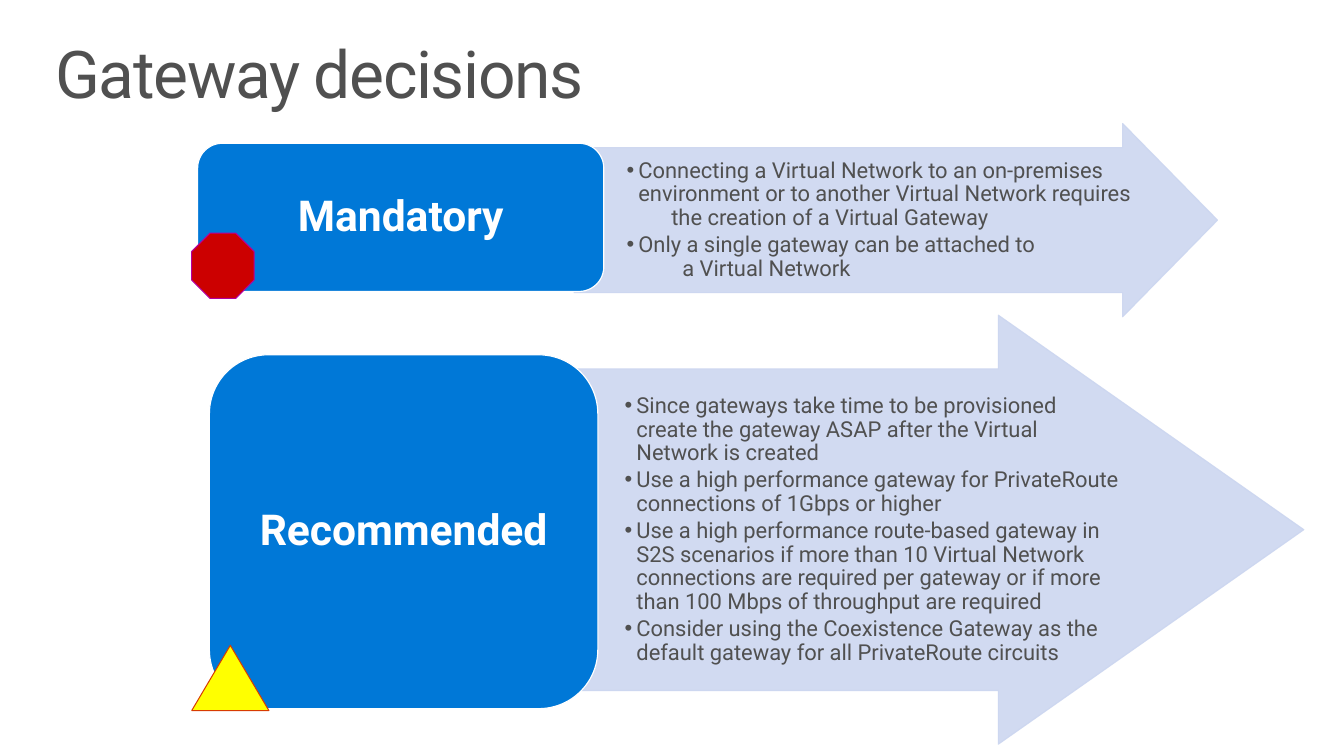
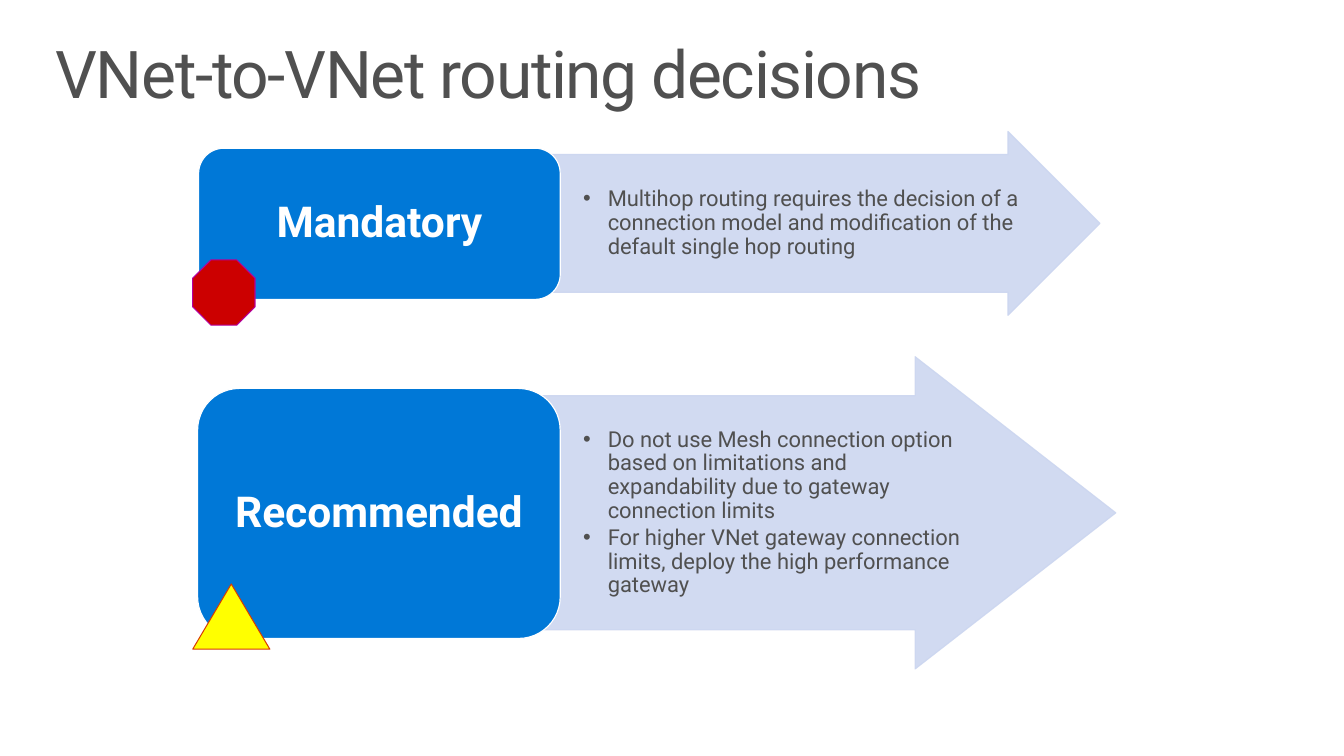
import copy
import dataclasses

import lxml.etree
import pptx
import pptx.dml.color
import pptx.enum.shapes
import pptx.enum.text
import pptx.oxml.ns
import pptx.util

Pt = pptx.util.Pt
qn = pptx.oxml.ns.qn
Preset = pptx.enum.shapes.MSO_SHAPE
Anchor = pptx.enum.text.MSO_ANCHOR
Align = pptx.enum.text.PP_ALIGN


@dataclasses.dataclass(frozen=True)
class Theme:
    font: str = "Roboto"
    text: str = "505050"
    white: str = "FFFFFF"
    label_fill: str = "0078D7"
    arrow_fill: str = "CCD6F0"
    warning_fill: str = "FFFF00"
    warning_line: str = "D83B01"
    stop_fill: str = "CC0000"
    stop_line: str = "B4009E"
    title_size: float = 48
    label_size: float = 31
    list_size: float = 16
    line_spacing: float = 0.9
    list_gap: float = 2.4
    arrow_opacity: int = 90000
    shaft_ratio: float = 0.75


@dataclasses.dataclass(frozen=True)
class Point:
    text: str
    continuation: str = ""
    shift: float = 0


@dataclasses.dataclass(frozen=True)
class Decision:
    label: str
    label_box: tuple
    arrow_box: tuple
    head_length: float
    text_margin: float
    points: tuple


class DecisionDeck:
    """Builds decision slides in one shared style."""

    def __init__(self, theme):
        self.theme = theme
        self.presentation = pptx.Presentation()
        self.presentation.slide_width = Pt(979.2)
        self.presentation.slide_height = Pt(550.8)
        self.slide = None

    def add_slide(self, title):
        layout = self.presentation.slide_layouts.get_by_name("Two Content")
        self.slide = self.presentation.slides.add_slide(layout)
        shape = self.slide.shapes.title
        self.place(shape, (28.8, 23, 921.6, 72))
        frame = shape.text_frame
        frame.text = title
        self.set_frame(frame, Anchor.TOP, (11.5, 7.2, 11.5, 7.2))
        self.style(frame.paragraphs[0], self.theme.title_size, self.theme.text, Align.LEFT)
        for properties in shape.element.xpath(".//a:rPr"):
            properties.set("spc", "-100")

    def place(self, shape, box):
        shape.left, shape.top, shape.width, shape.height = map(Pt, box)

    def set_frame(self, frame, anchor, margins=(0, 0, 0, 0)):
        frame.word_wrap = True
        frame.auto_size = pptx.enum.text.MSO_AUTO_SIZE.NONE
        frame.vertical_anchor = anchor
        (frame.margin_left, frame.margin_top,
         frame.margin_right, frame.margin_bottom) = map(Pt, margins)

    def style(self, paragraph, size, color, alignment, bold=False, space_after=0):
        paragraph.alignment = alignment
        paragraph.line_spacing = self.theme.line_spacing
        paragraph.space_before = Pt(0)
        paragraph.space_after = Pt(space_after)
        for run in paragraph.runs:
            run.font.name = self.theme.font
            run.font.size = Pt(size)
            run.font.bold = bold
            run.font.color.rgb = pptx.dml.color.RGBColor.from_string(color)

    def add_preset(self, preset, box, fill, line, line_width):
        shape = self.slide.shapes.add_shape(preset, *map(Pt, box))
        shape.shadow.inherit = False
        shape.fill.solid()
        shape.fill.fore_color.rgb = pptx.dml.color.RGBColor.from_string(fill)
        shape.line.color.rgb = pptx.dml.color.RGBColor.from_string(line)
        shape.line.width = Pt(line_width)
        return shape

    def add_arrow(self, box, head_length):
        theme = self.theme
        shape = self.add_preset(Preset.RIGHT_ARROW, box, theme.arrow_fill, theme.arrow_fill, 0.85)
        shape.adjustments[0] = theme.shaft_ratio
        shape.adjustments[1] = head_length / box[3]
        for color in shape.element.xpath("./p:spPr//a:srgbClr"):
            alpha = lxml.etree.SubElement(color, qn("a:alpha"))
            alpha.set("val", str(theme.arrow_opacity))

    def add_label(self, text, box):
        theme = self.theme
        shape = self.add_preset(Preset.ROUNDED_RECTANGLE, box, theme.label_fill, theme.white, 0.85)
        shape.text_frame.text = text
        self.set_frame(shape.text_frame, Anchor.MIDDLE)
        self.style(shape.text_frame.paragraphs[0], theme.label_size, theme.white,
                   Align.CENTER, bold=True)

    def set_indent(self, paragraph_element, left, hanging, bullet):
        properties = paragraph_element.find(qn("a:pPr"))
        properties.set("marL", str(Pt(left)))
        properties.set("indent", str(-Pt(hanging)))
        if bullet:
            lxml.etree.SubElement(properties, qn("a:buChar")).set("char", "•")
        else:
            lxml.etree.SubElement(properties, qn("a:buNone"))

    def fill_list(self, placeholder, box, points, left, hanging):
        theme = self.theme
        self.place(placeholder, box)
        placeholder.element.getparent().append(placeholder.element)
        rows = []
        for point in points:
            rows.append((point.text, left, hanging, 0 if point.continuation else theme.list_gap))
            if point.continuation:
                rows.append((point.continuation, left + point.shift, 0, theme.list_gap))
        frame = placeholder.text_frame
        frame.text = "\n".join(row[0] for row in rows)
        self.set_frame(frame, Anchor.MIDDLE)
        elements = placeholder.element.xpath(".//a:p")
        for paragraph, element, row in zip(frame.paragraphs, elements, rows):
            self.style(paragraph, theme.list_size, theme.text, Align.LEFT, space_after=row[3])
            self.set_indent(element, row[1], row[2], bullet=row[2] > 0)
            for line_break in element.findall(qn("a:br")):
                line_break.append(copy.deepcopy(element.find(qn("a:r")).find(qn("a:rPr"))))

    def add_decision(self, decision, placeholder, left, hanging):
        self.add_arrow(decision.arrow_box, decision.head_length)
        x, y, width, height = decision.arrow_box
        list_box = (x, y, width - decision.text_margin, height)
        self.fill_list(placeholder, list_box, decision.points, left, hanging)
        self.add_label(decision.label, decision.label_box)

    def add_signs(self, left, warning_top, stop_top):
        theme = self.theme
        self.add_preset(Preset.ISOSCELES_TRIANGLE, (left, warning_top, 56.2, 47.5),
                        theme.warning_fill, theme.warning_line, 0.75)
        self.add_preset(Preset.OCTAGON, (left, stop_top, 45.4, 47.5),
                        theme.stop_fill, theme.stop_line, 0.75)

    def add_decision_slide(self, title, decisions, left, hanging, signs):
        self.add_slide(title)
        bodies = [shape for shape in self.slide.placeholders
                  if shape.placeholder_format.idx > 0]
        for decision, body in zip(decisions, bodies):
            self.add_decision(decision, body, left, hanging)
        self.add_signs(*signs)


def main():
    deck = DecisionDeck(Theme())
    deck.add_decision_slide(
        "Gateway decisions",
        (
            Decision(
                "Mandatory", (144, 104.4, 295.9, 108), (418.3, 90, 468.7, 140.8), 69.1, 46.8,
                (
                    Point("Connecting a Virtual Network to an on-premises environment "
                          "or to another Virtual Network requires",
                          "the creation of a Virtual Gateway", 24),
                    Point("Only a single gateway can be attached to",
                          "a Virtual Network", 32),
                ),
            ),
            Decision(
                "Recommended", (152.6, 258.5, 283, 257.8), (416.9, 229.7, 533, 312.5),
                222.5, 118.1,
                (
                    Point("Since gateways take time to be provisioned\v"
                          "create the gateway ASAP after the Virtual\vNetwork is created"),
                    Point("Use a high performance gateway for PrivateRoute "
                          "connections of 1Gbps or higher"),
                    Point("Use a high performance route-based gateway in S2S scenarios "
                          "if more than 10 Virtual Network connections are required per "
                          "gateway or if more than 100 Mbps of throughput are required"),
                    Point("Consider using the Coexistence Gateway as the default gateway "
                          "for all PrivateRoute circuits"),
                ),
            ),
        ),
        left=46.8, hanging=8.6, signs=(139.7, 470.2, 169.9),
    )
    deck.add_decision_slide(
        "VNet-to-VNet routing decisions",
        (
            Decision(
                "Mandatory", (144.7, 108, 263.5, 110.2), (387.4, 95.8, 414, 133.9), 67, 51.1,
                (
                    Point("Multihop routing requires the decision of a connection model "
                          "and modification of the default single hop routing"),
                ),
            ),
            Decision(
                "Recommended", (144, 283, 264.2, 182.2), (387.4, 259.9, 425.5, 227.5),
                146.2, 103,
                (
                    Point("Do not use Mesh connection option based on limitations and "
                          "expandability due to gateway connection limits"),
                    Point("For higher VNet gateway connection limits, deploy the high "
                          "performance gateway"),
                ),
            ),
        ),
        left=55.4, hanging=18, signs=(140.4, 425.5, 189.4),
    )
    deck.presentation.save("out.pptx")


if __name__ == "__main__":
    main()
